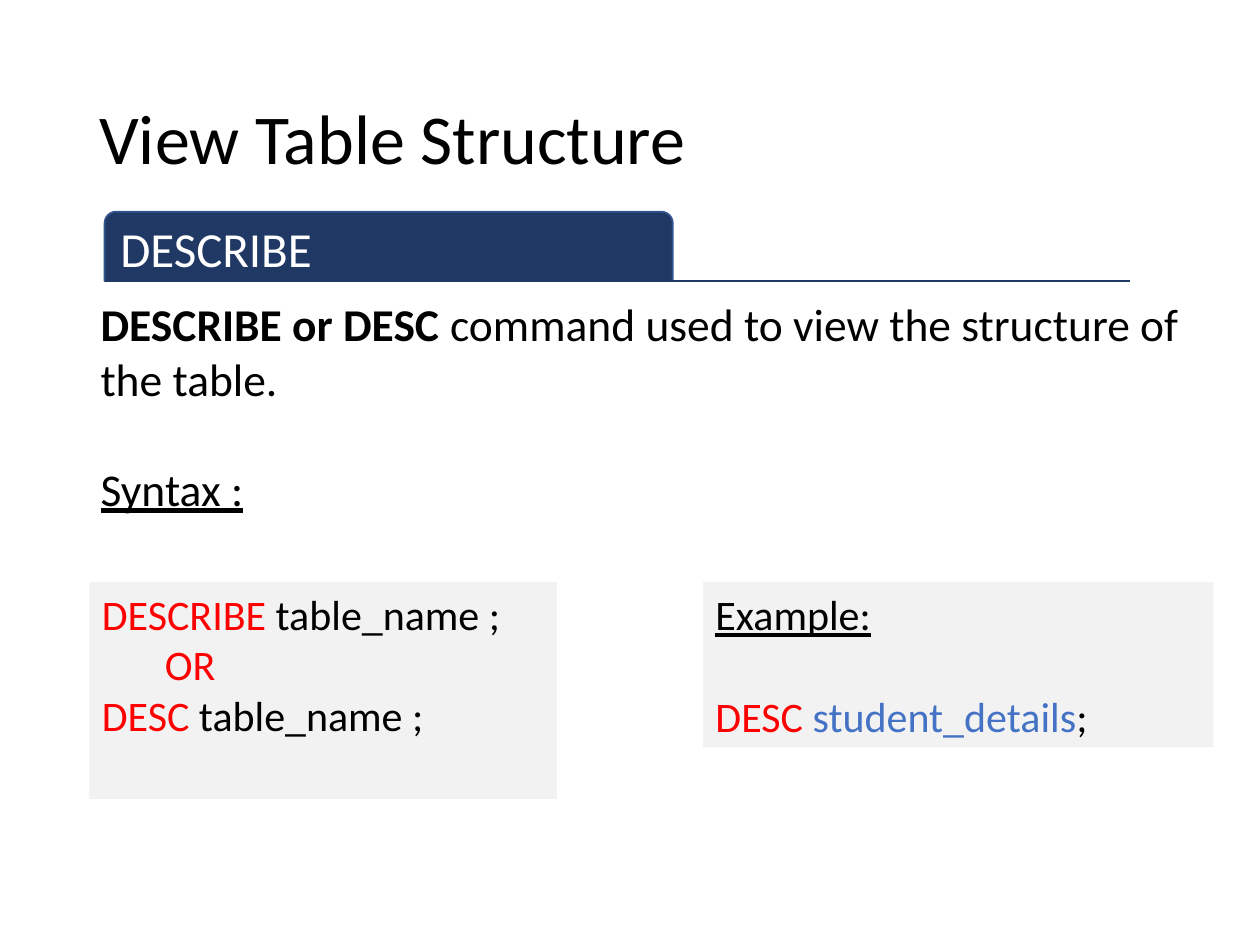
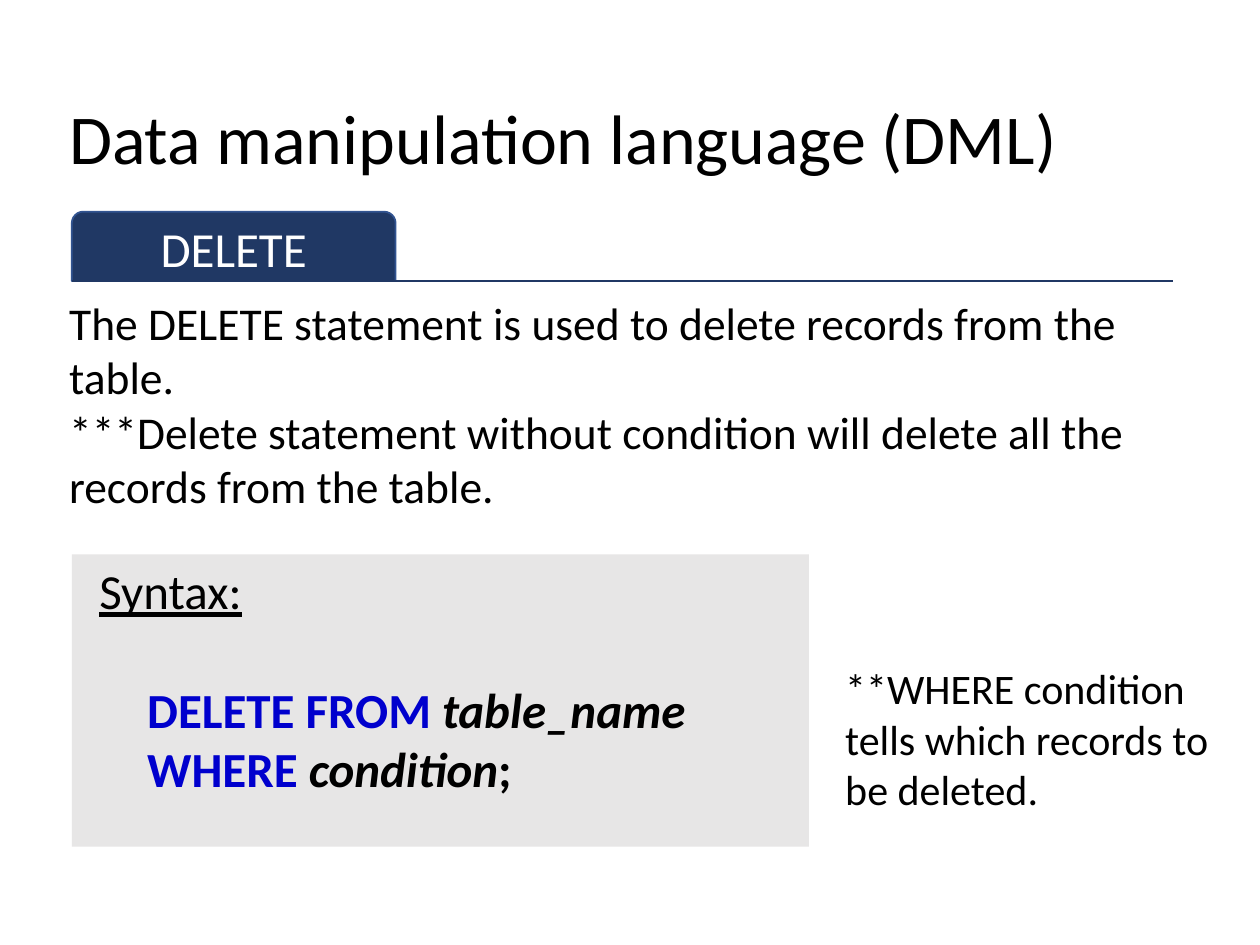
from dataclasses import dataclass

from lxml import etree
from pptx import Presentation
from pptx import util as u
from pptx.dml.color import RGBColor
from pptx.enum import shapes, text
from pptx.oxml import ns

FONT = "Calibri"
BLACK, WHITE, RED = "000000", "FFFFFF", "FF0000"
NAVY, NAVY_EDGE = "203864", "325491"
BLUE, KEYWORD_BLUE = "4472C4", "0000CD"
PALE_GREY, GREY = "F2F2F2", "E7E6E6"
LINE_HEIGHT = 1.22
RULE_TOP = 2.23
TAB_HEIGHT = 0.55


@dataclass
class Span:
    words: str
    color: str = BLACK
    bold: bool = False
    italic: bool = False
    underline: bool = False


@dataclass
class Para:
    spans: list
    indent: float = 0
    gap_lines: int = 0


def rgb(value):
    return RGBColor.from_string(value)


def write(box, paras, size, anchor=text.MSO_ANCHOR.TOP,
          align=text.PP_ALIGN.LEFT, spacing=None):
    frame = box.text_frame
    frame.word_wrap = True
    frame.vertical_anchor = anchor
    for index, item in enumerate(paras):
        para = frame.paragraphs[0] if index == 0 else frame.add_paragraph()
        para.alignment = align
        if spacing:
            para.line_spacing = spacing
        if item.gap_lines:
            para.space_before = u.Pt(round(item.gap_lines * size * LINE_HEIGHT, 1))
        if item.indent:
            properties = para._p.get_or_add_pPr()
            properties.set("marL", str(u.Inches(item.indent)))
            properties.set("indent", "0")
        for part in item.spans:
            span = para.add_run()
            span.text = part.words
            font = span.font
            font.name = FONT
            font.size = u.Pt(size)
            font.bold = part.bold
            font.italic = part.italic
            font.underline = part.underline
            font.color.rgb = rgb(part.color)


def add_text(page, area, paras, size, **layout):
    box = page.shapes.add_textbox(*map(u.Inches, area))
    write(box, paras, size, **layout)


def add_panel(page, area, fill, paras, size, kind=shapes.MSO_SHAPE.RECTANGLE,
              edge=None, **layout):
    panel = page.shapes.add_shape(kind, *map(u.Inches, area))
    panel.shadow.inherit = False
    panel.fill.solid()
    panel.fill.fore_color.rgb = rgb(fill)
    if edge:
        panel.line.color.rgb = rgb(edge)
        panel.line.width = u.Pt(1)
    else:
        panel.line.fill.background()
    write(panel, paras, size, **layout)


def add_title(page, left, width, words):
    add_text(page, (left, 0.4, width, 1.45), [Para([Span(words)])], 40,
             anchor=text.MSO_ANCHOR.MIDDLE, spacing=0.9)


def add_heading(page, left, tab_width, rule_width, words,
                align=text.PP_ALIGN.LEFT):
    add_panel(page, (left, RULE_TOP - TAB_HEIGHT, tab_width, TAB_HEIGHT), NAVY,
              [Para([Span(words, WHITE)])], 28,
              kind=shapes.MSO_SHAPE.ROUND_2_SAME_RECTANGLE, edge=NAVY_EDGE,
              anchor=text.MSO_ANCHOR.MIDDLE, align=align)
    rule = page.shapes.add_connector(
        shapes.MSO_CONNECTOR.STRAIGHT, u.Inches(left), u.Inches(RULE_TOP),
        u.Inches(left + rule_width), u.Inches(RULE_TOP))
    rule.line.color.rgb = rgb(NAVY)
    rule.line.width = u.Pt(1.5)
    etree.SubElement(rule._element.spPr, ns.qn("a:effectLst"))


def build_describe(page):
    add_title(page, 0.69, 8.62, "View Table Structure")
    add_heading(page, 0.83, 4.51, 8.14, "DESCRIBE")
    add_text(page, (0.7, 2.3, 8.8, 2.73), [
        Para([Span("DESCRIBE or DESC ", bold=True),
              Span("command used to view the structure of the table.")]),
        Para([Span("Syntax :", underline=True)], gap_lines=1),
    ], 26)
    add_panel(page, (0.71, 4.62, 3.71, 1.72), PALE_GREY, [
        Para([Span("DESCRIBE ", RED), Span("table_name ;")]),
        Para([Span("OR", RED)], indent=0.5),
        Para([Span("DESC ", RED), Span("table_name ;")]),
    ], 24)
    add_panel(page, (5.58, 4.62, 4.05, 1.31), PALE_GREY, [
        Para([Span("Example:", underline=True)]),
        Para([Span("DESC ", RED), Span("student_details", BLUE), Span(";")],
             gap_lines=1),
    ], 24)


def build_delete(page):
    add_title(page, 0.45, 8.87, "Data manipulation language (DML)")
    add_heading(page, 0.57, 2.57, 8.74, "DELETE", align=text.PP_ALIGN.CENTER)
    add_text(page, (0.45, 2.29, 9.25, 1.85), [
        Para([Span("The DELETE statement is used to delete records from the table.")]),
        Para([Span("***Delete statement without condition will delete all the "
                   "records from the table.")]),
    ], 26)
    add_panel(page, (0.57, 4.4, 5.85, 2.32), GREY, [
        Para([Span("Syntax:", underline=True)], indent=0.12),
        Para([Span("DELETE FROM ", KEYWORD_BLUE, bold=True),
              Span("table_name", bold=True, italic=True)],
             indent=0.5, gap_lines=1),
        Para([Span("WHERE ", KEYWORD_BLUE, bold=True),
              Span("condition", bold=True, italic=True),
              Span(";", bold=True)], indent=0.5),
    ], 28)
    add_text(page, (6.61, 5.21, 3.08, 1.31), [
        Para([Span("**WHERE condition tells which records to be deleted.")]),
    ], 24)


def main():
    deck = Presentation()
    deck.slide_width = u.Inches(10)
    deck.slide_height = u.Inches(7.5)
    for build in (build_describe, build_delete):
        build(deck.slides.add_slide(deck.slide_layouts[6]))
    deck.save("out.pptx")


if __name__ == "__main__":
    main()
